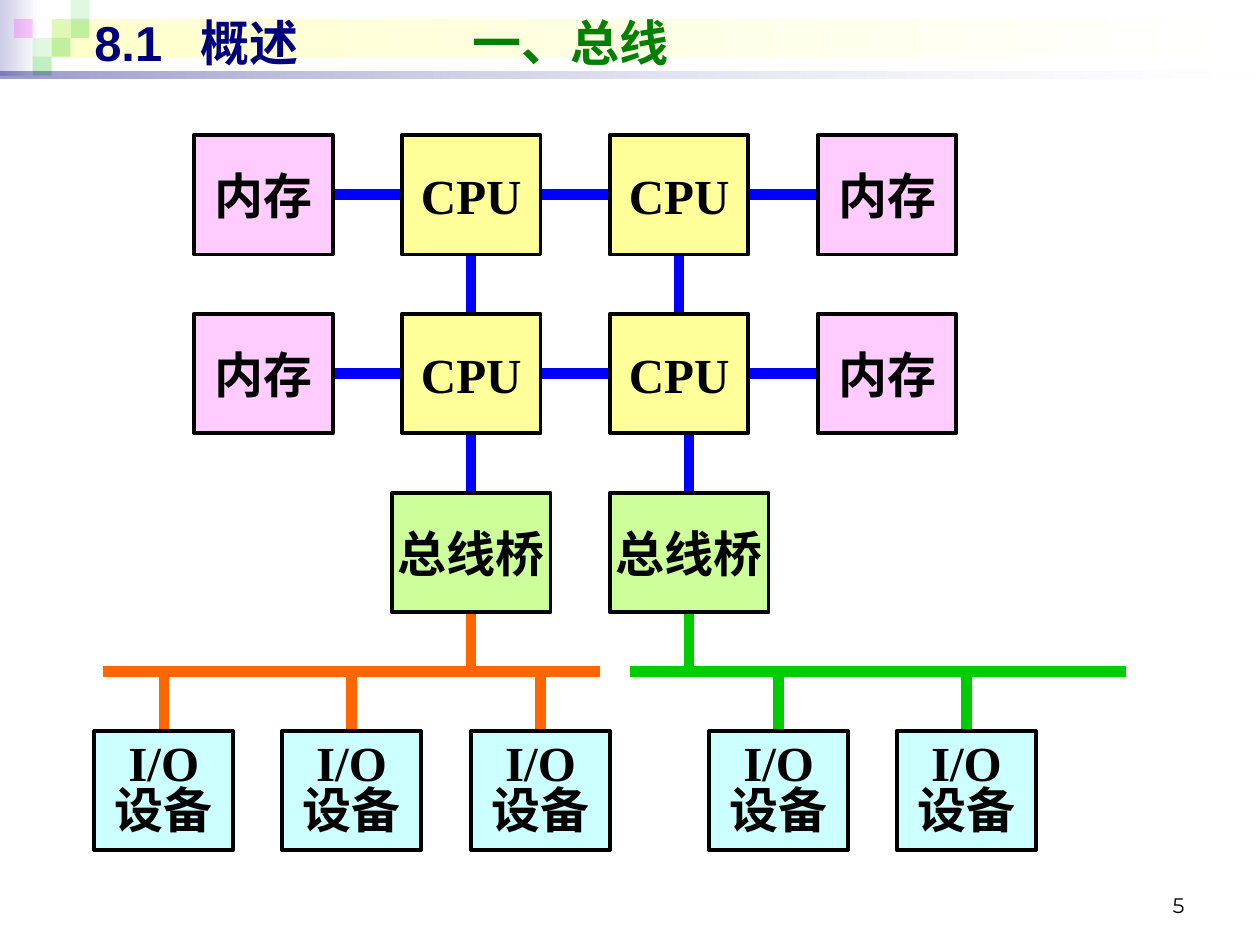
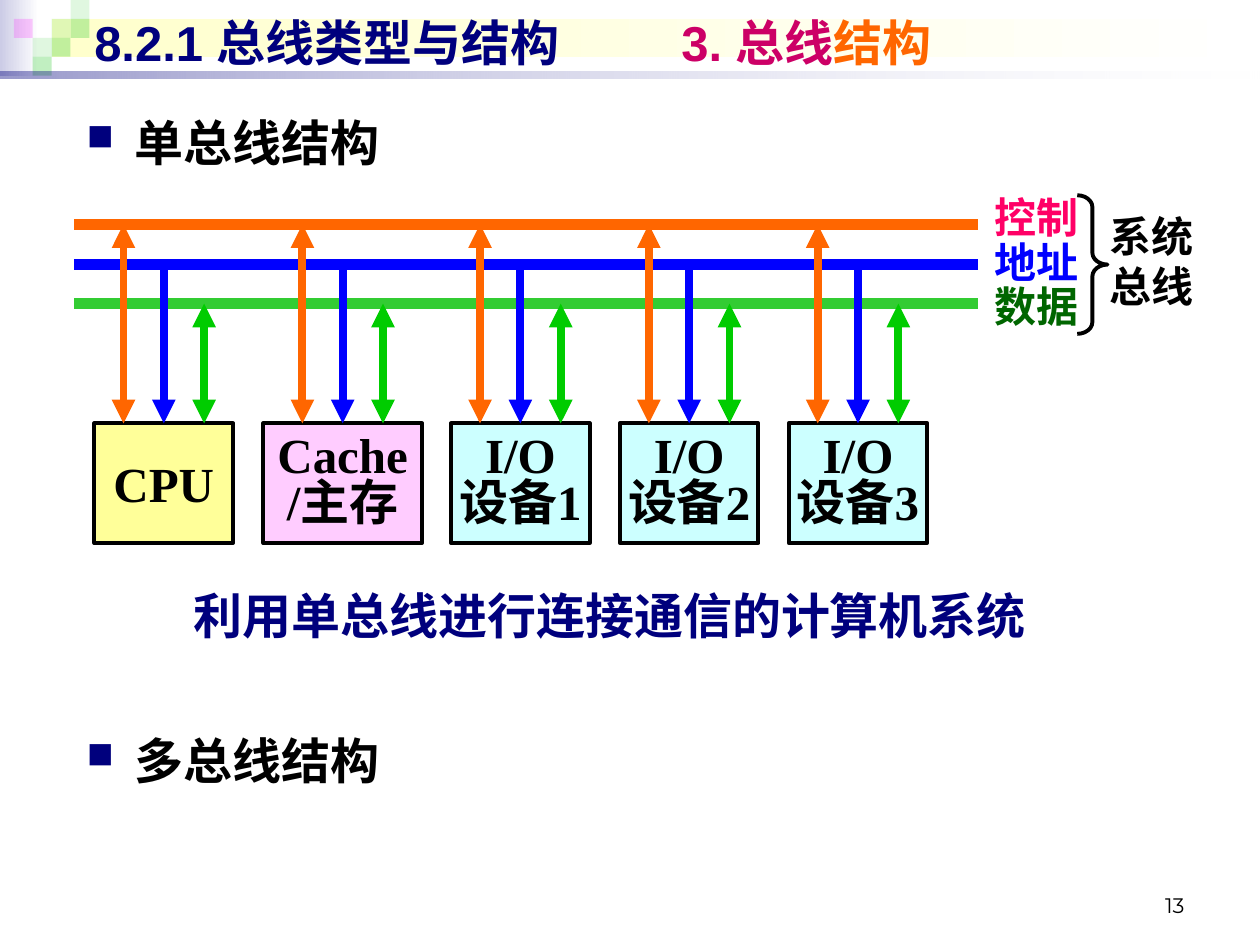
from collections import namedtuple
from dataclasses import dataclass

from lxml import etree
from pptx import Presentation
from pptx.dml.color import RGBColor
from pptx.enum.shapes import MSO_CONNECTOR, MSO_SHAPE
from pptx.enum.text import MSO_ANCHOR, PP_ALIGN
from pptx.oxml.ns import qn
from pptx.util import Inches, Pt

RECT, BRACE = MSO_SHAPE.RECTANGLE, MSO_SHAPE.RIGHT_BRACE
STRAIGHT = MSO_CONNECTOR.STRAIGHT
TOP, MIDDLE, BOTTOM = MSO_ANCHOR.TOP, MSO_ANCHOR.MIDDLE, MSO_ANCHOR.BOTTOM
LEFT, CENTER, RIGHT = PP_ALIGN.LEFT, PP_ALIGN.CENTER, PP_ALIGN.RIGHT
SIDE_TOP, SIDE_LEFT, SIDE_BOTTOM, SIDE_RIGHT = range(4)

Site = namedtuple("Site", "shape side")


@dataclass(frozen=True)
class Theme:
    """Colours, fonts and sizes shared by the slides."""

    navy: str = "00007D"
    black: str = "000000"
    white: str = "FFFFFF"
    lavender: str = "CCCCE6"
    cream: str = "FFFFCC"
    tile_green: str = "33CC33"
    tile_pink: str = "FF00FF"
    green: str = "008000"
    crimson: str = "CC0066"
    orange: str = "FF6600"
    blue: str = "0000FF"
    bus_green: str = "00CC00"
    control: str = "FF0066"
    data: str = "006600"
    cpu: str = "FFFF99"
    memory: str = "FFCCFF"
    bridge: str = "CCFF99"
    device: str = "CCFFFF"
    title_font: str = "Arial"
    body_font: str = "Times New Roman"
    number_font: str = "Montserrat"
    big: int = 28
    medium: int = 24
    small: int = 12
    bus_width: float = 6
    arrow_width: float = 4.5
    border: float = 2.25


T = Theme()
BOX_W, WIDE_W, BOX_H = 1.1, 1.26, 0.95


def rgb(color):
    """Return a colour object for a hex string."""
    return RGBColor.from_string(color)


def style_run(r, size, color, font=T.body_font, bold=True):
    """Format one run."""
    r.font.size, r.font.name, r.font.bold = Pt(size), font, bold
    r.font.color.rgb = rgb(color)


def add_label(slide, x, y, w, h, runs, size=T.big, font=T.body_font,
              align=CENTER, anchor=TOP, bold=True):
    """Add a one-paragraph text box made of (text, colour) runs."""
    sp = slide.shapes.add_textbox(Inches(x), Inches(y), Inches(w), Inches(h))
    tf = sp.text_frame
    tf.word_wrap, tf.vertical_anchor = True, anchor
    p = tf.paragraphs[0]
    p.alignment = align
    for text, color in runs:
        r = p.add_run()
        r.text = text
        style_run(r, size, color, font, bold)
    return p


def add_tile(slide, x, y, w, h, colors, alphas=()):
    """Add a borderless rectangle with a solid or two-colour fill."""
    sp = slide.shapes.add_shape(RECT, Inches(x), Inches(y), Inches(w), Inches(h))
    sp.shadow.inherit = False
    sp.line.fill.background()
    if len(colors) == 1:
        sp.fill.solid()
        sp.fill.fore_color.rgb = rgb(colors[0])
    else:
        sp.fill.gradient()
        sp.fill.gradient_angle = 0
        for stop, color in zip(sp.fill.gradient_stops, colors):
            stop.color.rgb = rgb(color)
    for clr, alpha in zip(sp._element.spPr.iter(qn("a:srgbClr")), alphas):
        etree.SubElement(clr, qn("a:alpha"), val=str(alpha * 1000))


def add_box(slide, x, y, text, fill, w=BOX_W):
    """Add a bordered block of the diagram with centred text."""
    sp = slide.shapes.add_shape(RECT, Inches(x), Inches(y), Inches(w), Inches(BOX_H))
    sp.shadow.inherit = False
    sp.fill.solid()
    sp.fill.fore_color.rgb = rgb(fill)
    sp.line.color.rgb, sp.line.width = rgb(T.black), Pt(T.border)
    tf = sp.text_frame
    tf.text = text
    tf.word_wrap, tf.vertical_anchor = False, MIDDLE
    for p in tf.paragraphs:
        p.alignment = CENTER
        if text.split() != [text]:
            p.line_spacing = 0.8
        for r in p.runs:
            style_run(r, T.big, T.black)
    return sp


def add_wire(slide, start, end, color, width=T.bus_width, heads=()):
    """Draw a line between points or shape sides, with optional arrowheads."""
    points = [(0, 0) if isinstance(e, Site) else e for e in (start, end)]
    cxn = slide.shapes.add_connector(
        STRAIGHT, *(Inches(v) for point in points for v in point))
    if isinstance(start, Site):
        cxn.begin_connect(*start)
    if isinstance(end, Site):
        cxn.end_connect(*end)
    cxn.line.color.rgb, cxn.line.width = rgb(color), Pt(width)
    for head in heads:
        etree.SubElement(cxn.line._get_or_add_ln(), qn(head), type="triangle")
    etree.SubElement(cxn._element.spPr, qn("a:effectLst"))
    return cxn


def add_frame(prs, title, stops, number):
    """Start a slide with its band, title and page number."""
    slide = prs.slides.add_slide(prs.slide_layouts[6])
    add_tile(slide, 0, 0, 0.31, 0.6, [T.lavender, T.white])
    add_tile(slide, 0.41, 0.15, 9.55, 0.3, [T.cream, T.white])
    unit = 0.15
    for col, row, color, alpha in [
        (2, 1, T.tile_green, 15), (3, 0, T.tile_green, 15),
        (3, 1, T.tile_green, 30), (1, 2, T.tile_green, 15),
        (0, 1, T.tile_pink, 20), (2, 2, T.tile_green, 30),
        (1, 3, T.tile_green, 30),
    ]:
        add_tile(slide, 0.11 + col * unit, row * unit, unit, unit, [color], [alpha])
    add_tile(slide, 0, 0.57, 10, 0.05, [T.navy, T.white], [40, 10])
    add_label(slide, 7.17, 6.83, 2.33, 0.5, [(number, T.black)], T.small,
              T.number_font, RIGHT, BOTTOM, bold=False)
    p = add_label(slide, 0.65, 0.05, 9.24, 0.57, title, font=T.title_font,
                  align=LEFT, anchor=MIDDLE)
    tabs = etree.SubElement(p._p.get_or_add_pPr(), qn("a:tabLst"))
    for stop in stops:
        etree.SubElement(tabs, qn("a:tab"), pos=str(Inches(stop)), algn="l")
    return slide


def add_processors(slide, x, y):
    """Add the linked grid of memories and CPUs; return its rows and wires."""
    kinds = [("内存", T.memory), ("CPU", T.cpu), ("CPU", T.cpu), ("内存", T.memory)]
    rows = [[add_box(slide, x + col * 1.65, y + row * 1.42, *kind)
             for col, kind in enumerate(kinds)] for row in range(2)]
    wires = [add_wire(slide, Site(a, SIDE_RIGHT), Site(b, SIDE_LEFT), T.blue)
             for row in rows for a, b in zip(row, row[1:])]
    wires += [add_wire(slide, Site(rows[0][col], SIDE_BOTTOM),
                       Site(rows[1][col], SIDE_TOP), T.blue) for col in (1, 2)]
    return rows, wires


def add_io_branch(slide, x, y, bridge_x, device_xs, color, source=None):
    """Add a bridge, its bus and its devices; return the wires."""
    bridge = add_box(slide, x + bridge_x, y, "总线桥", T.bridge, WIDE_W)
    middle, bus_y = x + bridge_x + WIDE_W / 2, y + 1.42
    wires = [
        add_wire(slide, source or (middle, y - 0.47), Site(bridge, SIDE_TOP), T.blue),
        add_wire(slide, Site(bridge, SIDE_BOTTOM), (middle, bus_y), color),
        add_wire(slide, (x, bus_y), (x + 3.94, bus_y), color),
    ]
    for device_x in device_xs:
        device = add_box(slide, x + device_x, y + 1.89, "I/O\v设备", T.device)
        wires.append(add_wire(slide, (x + device_x + BOX_W / 2, bus_y),
                              Site(device, SIDE_TOP), color))
    return wires


def add_overview_slide(prs):
    """Build the slide on a multiprocessor with two I/O buses."""
    title = [("8.1\t概述\t", T.navy), ("一、总线", T.green)]
    slide = add_frame(prs, title, [0.84, 3], "5")
    rows, wires = add_processors(slide, 1.54, 1.07)
    wires += add_io_branch(slide, 0.82, 3.91, 2.29, [-0.07, 1.42, 2.92], T.orange,
                           Site(rows[1][1], SIDE_BOTTOM))
    wires += add_io_branch(slide, 5, 3.91, -0.16, [0.63, 2.12], T.bus_green)
    for wire in wires:
        slide.shapes._spTree.insert(2, wire._element)


def add_bullet(slide, x, y, text):
    """Add a heading with a square bullet."""
    p = add_label(slide, x, y, 8.66, 0.6, [(text, T.black)], align=LEFT)
    pPr = p._p.get_or_add_pPr()
    pPr.set("marL", str(Inches(0.38)))
    pPr.set("indent", str(-Inches(0.38)))
    color = etree.SubElement(pPr, qn("a:buClr"))
    etree.SubElement(color, qn("a:srgbClr"), val=T.navy)
    etree.SubElement(pPr, qn("a:buSzPct"), val="75000")
    etree.SubElement(pPr, qn("a:buChar"), char="■")


def add_single_bus(slide, x, y):
    """Add three bus lines and the modules that hang from them."""
    control_y, address_y, data_y = y, y + 0.32, y + 0.63
    for bus_y, color in [(control_y, T.orange), (address_y, T.blue),
                         (data_y, T.tile_green)]:
        add_wire(slide, (x, bus_y), (x + 7.17, bus_y), color)
    both = ("a:headEnd", "a:tailEnd")
    box_y = y + 1.58
    for box_x, text, fill, w in [
        (0.16, "CPU", T.cpu, BOX_W),
        (1.5, "Cache\n/主存", T.memory, WIDE_W),
        (2.99, "I/O\v设备1", T.device, BOX_W),
        (4.33, "I/O\v设备2", T.device, BOX_W),
        (5.67, "I/O\v设备3", T.device, BOX_W),
    ]:
        sp = add_box(slide, x + box_x, box_y, text, fill, w)
        middle = x + box_x + w / 2
        for dx, bus_y, color, heads in [
            (-0.32, control_y, T.orange, both),
            (0, address_y, T.blue, both[:1]),
            (0.32, data_y, T.bus_green, both),
        ]:
            start = (middle + dx, box_y) if dx else Site(sp, SIDE_TOP)
            add_wire(slide, start, (middle + dx, bus_y), color, T.arrow_width, heads)


def add_bus_legend(slide, x, y):
    """Name the three bus lines and brace them together."""
    for dy, text, color in [(0, "控制", T.control), (0.36, "地址", T.blue),
                            (0.71, "数据", T.data)]:
        add_label(slide, x, y + dy, 1.1, 0.5, [(text, color)], T.medium)
    sp = slide.shapes.add_shape(BRACE, Inches(x + 0.87), Inches(y + 0.08),
                                Inches(0.24), Inches(1.1))
    sp.shadow.inherit = False
    sp.adjustments[0], sp.adjustments[1] = 0.39, 0.5
    sp.fill.background()
    sp.line.color.rgb, sp.line.width = rgb(T.black), Pt(T.border)
    add_label(slide, x + 0.94, y + 0.15, 0.95, 0.9, [("系统总线", T.black)],
              T.medium, align=RIGHT)


def add_structure_slide(prs):
    """Build the slide on the single-bus structure."""
    title = [("8.2.1 总线类型与结构\t", T.navy), ("3. 总线", T.crimson),
             ("结构", T.orange)]
    slide = add_frame(prs, title, [4.66], "13")
    add_bullet(slide, 0.59, 0.84, "单总线结构")
    add_single_bus(slide, 0.59, 1.78)
    add_bus_legend(slide, 7.68, 1.47)
    add_label(slide, 1.06, 4.6, 7.56, 0.57,
              [("利用单总线进行连接通信的计算机系统", T.navy)])
    add_bullet(slide, 0.59, 5.75, "多总线结构")


def main():
    """Build and save the presentation."""
    prs = Presentation()
    prs.slide_width, prs.slide_height = Inches(10), Inches(7.5)
    add_overview_slide(prs)
    add_structure_slide(prs)
    prs.save("out.pptx")


if __name__ == "__main__":
    main()
